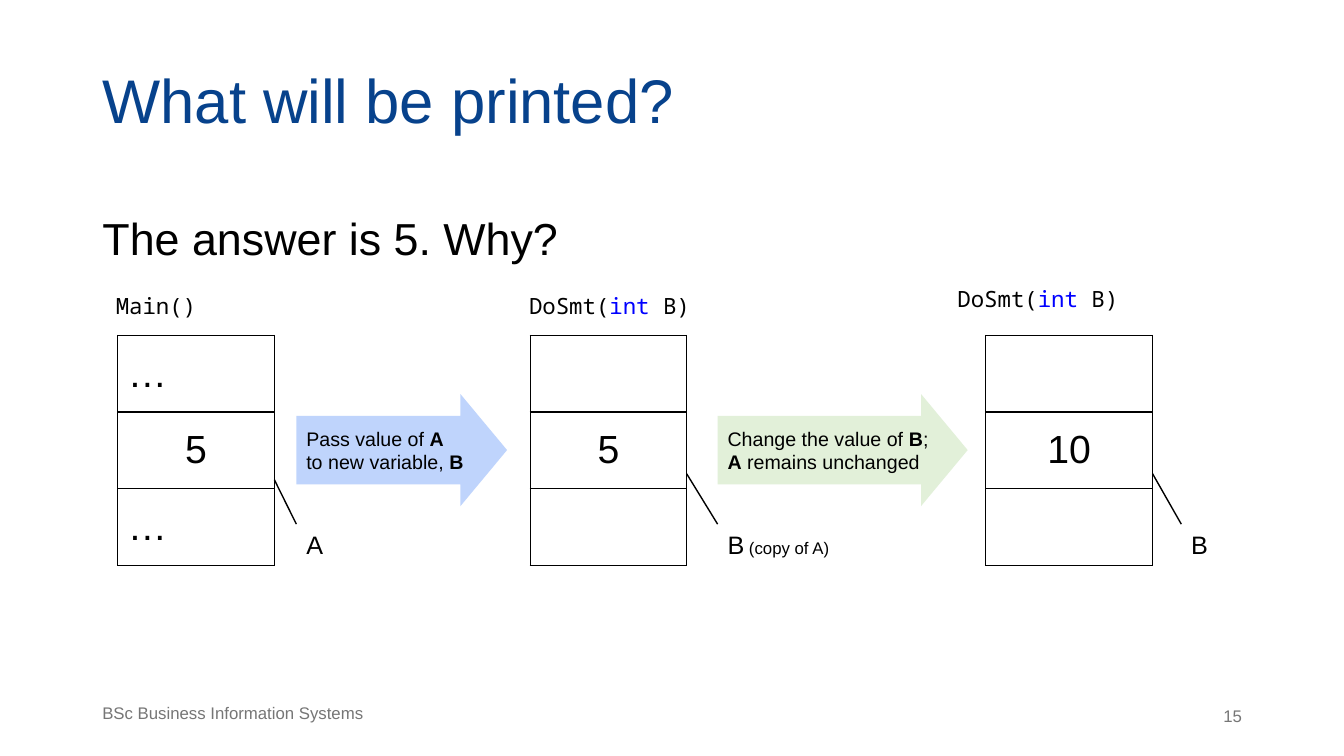
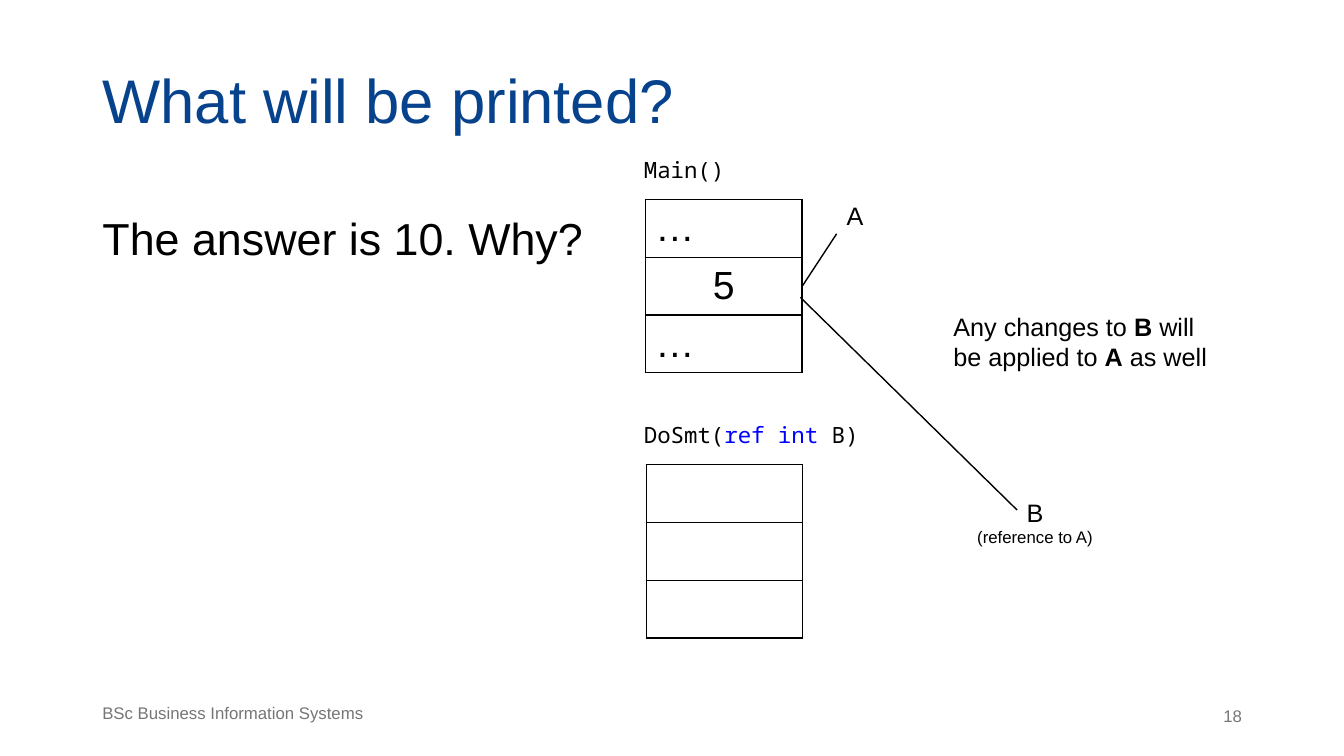
"""Build two slides on passing arguments by value and by reference."""
from dataclasses import dataclass
from typing import NamedTuple

from lxml import etree
from pptx import Presentation
from pptx.dml.color import RGBColor
from pptx.enum.shapes import MSO_CONNECTOR, MSO_SHAPE
from pptx.enum.text import MSO_ANCHOR, MSO_AUTO_SIZE, PP_ALIGN
from pptx.oxml.ns import qn
from pptx.util import Pt

LEFT, CENTER, RIGHT = PP_ALIGN.LEFT, PP_ALIGN.CENTER, PP_ALIGN.RIGHT
TOP, MIDDLE, BOTTOM = MSO_ANCHOR.TOP, MSO_ANCHOR.MIDDLE, MSO_ANCHOR.BOTTOM
FIXED = MSO_AUTO_SIZE.NONE
STRAIGHT, ARROW = MSO_CONNECTOR.STRAIGHT, MSO_SHAPE.RIGHT_ARROW
SANS, MONO = "Arial", "Noto Sans Mono"
COLORS = {
    "title": "07428C",
    "text": "000000",
    "muted": "767676",
    "keyword": "0000FF",
    "pass": "BFD4FC",
    "change": "E2F0D9",
}
MARGIN = 66


class Run(NamedTuple):
    text: str
    size: float = 18
    bold: bool = False
    color: str = "text"
    font: str = SANS


class Box(NamedTuple):
    x: float
    y: float
    w: float
    h: float


Lines = list[list[Run]]


@dataclass
class Label:
    box: Box
    lines: Lines
    align: PP_ALIGN = LEFT


@dataclass
class Stack:
    x: float
    y: float
    w: float
    row: float
    cells: tuple[str, str, str]


@dataclass
class Arrow:
    box: Box
    fill: str
    lines: Lines


@dataclass
class Link:
    x1: float
    y1: float
    x2: float
    y2: float


@dataclass
class Page:
    number: str
    answer: str
    stacks: list[Stack]
    labels: list[Label]
    arrows: list[Arrow]
    links: list[Link]


def rgb(name: str) -> RGBColor:
    return RGBColor.from_string(COLORS[name])


def place(shape, box: Box) -> None:
    shape.left, shape.top, shape.width, shape.height = map(Pt, box)


def write(frame, lines: Lines, align: PP_ALIGN = LEFT, spacing: float = 1) -> None:
    for i, line in enumerate(lines):
        para = frame.add_paragraph() if i else frame.paragraphs[0]
        para.alignment, para.line_spacing = align, spacing
        para.space_before = Pt(0)
        for item in line:
            run = para.add_run()
            run.text = item.text
            font = run.font
            font.name, font.size, font.bold = item.font, Pt(item.size), item.bold
            font.color.rgb = rgb(item.color)


def fill_holder(holder, box: Box, run: Run, anchor: MSO_ANCHOR, spacing: float) -> None:
    place(holder, box)
    frame = holder.text_frame
    frame.auto_size, frame.vertical_anchor = FIXED, anchor
    frame.margin_left = frame.margin_right = Pt(7.2)
    frame.margin_top = frame.margin_bottom = Pt(7.2)
    props = frame.paragraphs[0]._p.get_or_add_pPr()
    props.set("marL", "0")
    props.set("indent", "0")
    etree.SubElement(props, qn("a:buNone"))
    write(frame, [[run]], spacing=spacing)


def add_label(slide, label: Label, spacing: float = 1) -> None:
    frame = slide.shapes.add_textbox(*map(Pt, label.box)).text_frame
    frame.word_wrap = True
    write(frame, label.lines, label.align, spacing)


def add_frame(slide, page: Page) -> None:
    title = Run("What will be printed?", 44, color="title")
    fill_holder(slide.shapes.title, Box(MARGIN, 37.5, 675.5, 67.5), title, BOTTOM, 0.9)
    body = slide.placeholders[1]
    fill_holder(body, Box(MARGIN, 135.4, 884, 329), Run(page.answer, 32), TOP, 1.2)
    course = Run("BSc Business Information Systems", 12, color="muted")
    add_label(slide, Label(Box(MARGIN, 499.7, 244, 29.5), [[course]]), 0.9)
    number = Run(page.number, 12, color="muted")
    add_label(slide, Label(Box(733.7, 500.4, 160.6, 28.8), [[number]], RIGHT))


def add_border(cell) -> None:
    props = cell._tc.get_or_add_tcPr()
    for i, side in enumerate(("lnL", "lnR", "lnT", "lnB")):
        line = etree.Element(qn(f"a:{side}"), w=str(Pt(1)))
        paint = etree.SubElement(line, qn("a:solidFill"))
        etree.SubElement(paint, qn("a:srgbClr"), val=COLORS["text"])
        props.insert(i, line)


def add_stack(slide, stack: Stack) -> None:
    count = len(stack.cells)
    box = Box(stack.x, stack.y, stack.w, stack.row * count)
    table = slide.shapes.add_table(count, 1, *map(Pt, box)).table
    table.first_row = table.horz_banding = False
    for i, text in enumerate(stack.cells):
        table.rows[i].height = Pt(stack.row)
        cell = table.cell(i, 0)
        cell.fill.background()
        add_border(cell)
        cell.vertical_anchor = MIDDLE
        if text:
            align = CENTER if text.isdigit() else LEFT
            write(cell.text_frame, [[Run(text, 28)]], align)


def add_arrow(slide, arrow: Arrow) -> None:
    shape = slide.shapes.add_shape(ARROW, *map(Pt, arrow.box))
    shape.adjustments[0], shape.adjustments[1] = 0.612, 0.416
    shape.shadow.inherit = False
    shape.fill.solid()
    shape.fill.fore_color.rgb = rgb(arrow.fill)
    shape.line.fill.background()
    shape.text_frame.vertical_anchor = MIDDLE
    write(shape.text_frame, arrow.lines)


def add_link(slide, link: Link) -> None:
    ends = map(Pt, (link.x1, link.y1, link.x2, link.y2))
    line = slide.shapes.add_connector(STRAIGHT, *ends)
    line.line.color.rgb = rgb("text")
    line.line.width = Pt(1)
    etree.SubElement(line._element.spPr, qn("a:effectLst"))


def code(x: float, y: float, name: str, keyword: str = "", tail: str = "") -> Label:
    parts = ((name, "text"), (keyword, "keyword"), (tail, "text"))
    runs = [Run(text, 16, color=color, font=MONO) for text, color in parts if text]
    return Label(Box(x, y, 209, 26.6), [runs])


def name_tag(x: float, y: float, name: str, note: str = "") -> Label:
    runs = [Run(name)] + ([Run(note, 12)] if note else [])
    return Label(Box(x, y, 90 if note else 26, 29), [runs])


def by_value() -> Page:
    top, row = 239.6, 54.72
    empty = ("", "5", "")
    plain, strong = Run("", 14), Run("", 14, True)
    return Page(
        "15",
        "The answer is 5. Why?",
        [
            Stack(84.2, top, 111.8, row, ("…", "5", "…")),
            Stack(378.7, top, 111.8, row, empty),
            Stack(704, top, 119.5, row, ("", "10", "")),
        ],
        [
            code(75.6, 205.2, "Main()"),
            code(370.8, 205.2, "DoSmt(", "int", " B)"),
            code(676.8, 200.2, "DoSmt(", "int", " B)"),
            name_tag(211.7, 374.4, "A"),
            name_tag(512.6, 374.4, "B", " (copy of A)"),
            name_tag(843.8, 374.4, "B"),
        ],
        [
            Arrow(Box(211.7, 281.5, 150.5, 80), "pass", [
                [plain._replace(text="Pass value of "), strong._replace(text="A")],
                [plain._replace(text="to new variable, "), strong._replace(text="B")],
            ]),
            Arrow(Box(512.6, 281.5, 178.6, 80), "change", [
                [plain._replace(text="Change the value of "),
                 strong._replace(text="B"), plain._replace(text=";")],
                [strong._replace(text="A"), plain._replace(text=" remains unchanged")],
            ]),
        ],
        [
            Link(196, 342.7, 211.7, 374.4),
            Link(490.5, 338.4, 512.6, 374.4),
            Link(823.3, 338.4, 843.8, 374.4),
        ],
    )


def by_ref() -> Page:
    row = 41.28
    effect = [
        Run("Any changes to "), Run("B", bold=True), Run(" will be applied to "),
        Run("A", bold=True), Run(" as well"),
    ]
    return Page(
        "18",
        "The answer is 10. Why?",
        [
            Stack(461, 142.5, 111.8, row, ("…", "5", "…")),
            Stack(461.5, 331.9, 111.8, row, ("", "", "")),
        ],
        [
            code(452.9, 108, "Main()"),
            code(452.9, 297.4, "DoSmt(", "ref int", " B)"),
            name_tag(597.6, 139.7, "A"),
            Label(Box(689, 351.4, 100.8, 44),
                  [[Run("B")], [Run("(reference to A)", 12)]], CENTER),
            Label(Box(673.9, 218.9, 200.9, 51), [effect]),
        ],
        [],
        [Link(597.6, 167, 573, 204.5), Link(726.5, 364.3, 571.7, 212.4)],
    )


def main() -> None:
    deck = Presentation()
    deck.slide_width, deck.slide_height = Pt(960), Pt(540)
    for page in (by_value(), by_ref()):
        slide = deck.slides.add_slide(deck.slide_layouts[1])
        add_frame(slide, page)
        for draw, items in (
            (add_stack, page.stacks),
            (add_label, page.labels),
            (add_arrow, page.arrows),
            (add_link, page.links),
        ):
            for item in items:
                draw(slide, item)
    deck.save("out.pptx")


if __name__ == "__main__":
    main()
